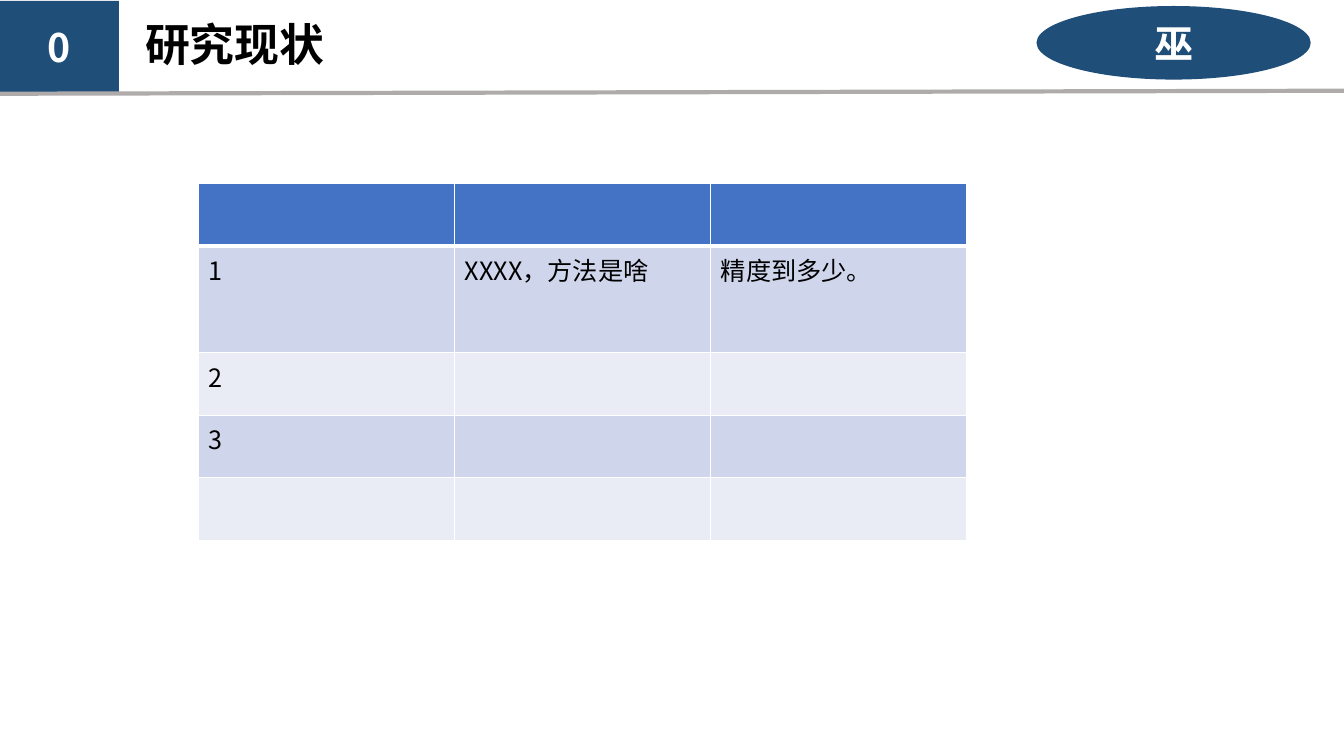
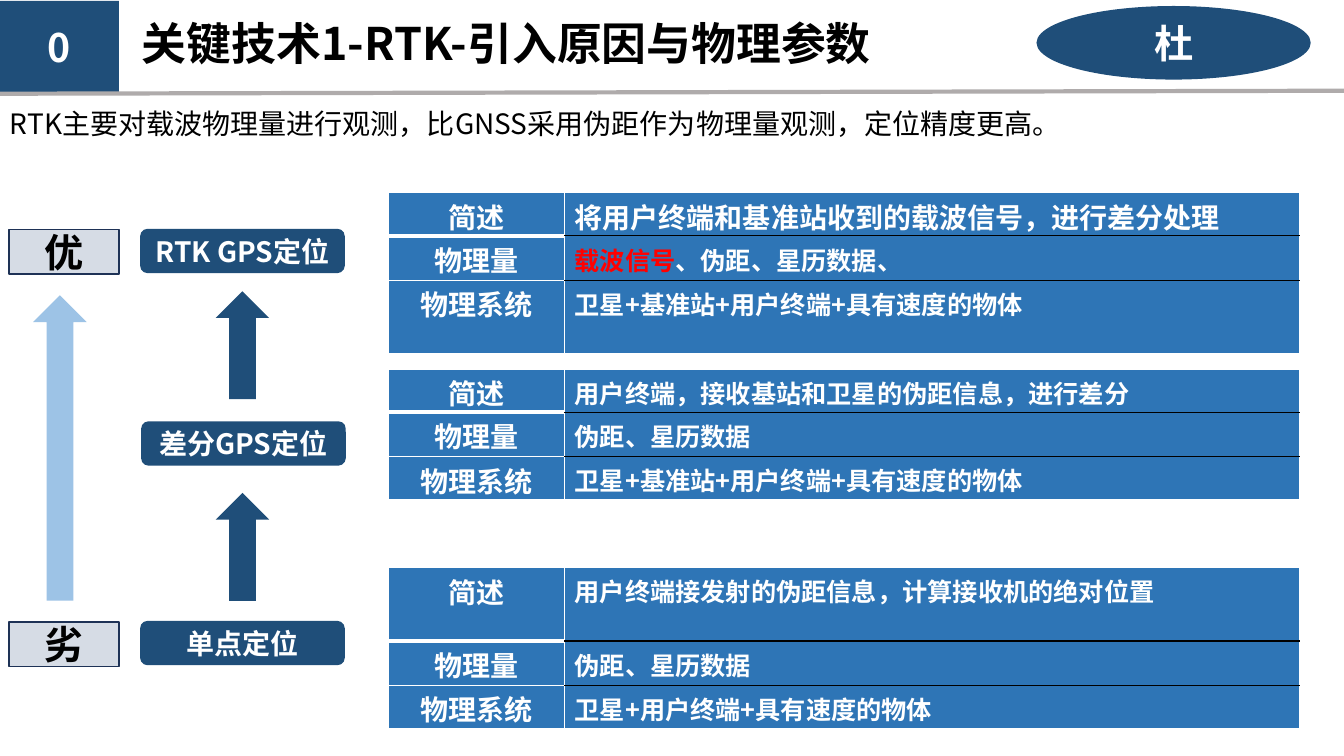
from lxml import etree
from pptx import Presentation
from pptx.dml.color import RGBColor
from pptx.enum.shapes import MSO_CONNECTOR, MSO_SHAPE
from pptx.enum.text import MSO_ANCHOR, PP_ALIGN
from pptx.oxml.ns import qn
from pptx.util import Emu, Pt

RECT = MSO_SHAPE.RECTANGLE
ROUNDED = MSO_SHAPE.ROUNDED_RECTANGLE
ELLIPSE = MSO_SHAPE.OVAL
UP_ARROW = MSO_SHAPE.UP_ARROW
STRAIGHT = MSO_CONNECTOR.STRAIGHT
MIDDLE = MSO_ANCHOR.MIDDLE
LEFT, CENTER = PP_ALIGN.LEFT, PP_ALIGN.CENTER

EMU_PER_PX = 9144
FONT = "Noto Sans CJK SC"
COLORS = {
    "white": "FFFFFF", "black": "000000", "red": "FF0000",
    "navy": "1F4E79", "rule": "AFABAB", "sky": "9DC3E6",
    "label": "D6DCE5", "label_line": "1E3256", "method": "2E75B6",
    "head": "4472C4", "band": "CFD5EA", "pale": "E9EBF5",
}


def px(length):
    return Emu(length * EMU_PER_PX)


def place(box):
    return [px(length) for length in box]


def rgb(name):
    return RGBColor.from_string(COLORS[name])


def write(para, text, size, color="black", bold=False):
    """Add one run, with the font set for Latin and Chinese text."""
    span = para.add_run()
    span.text = text
    span.font.size = Pt(size)
    span.font.bold = bold
    span.font.color.rgb = rgb(color)
    span.font.name = FONT
    etree.SubElement(span.font._element, qn("a:ea"), typeface=FONT)


def add_text(page, box, text, size, bold=False):
    frame = page.shapes.add_textbox(*place(box)).text_frame
    frame.word_wrap = True
    frame.vertical_anchor = MIDDLE
    frame.margin_top = frame.margin_bottom = 0
    para = frame.paragraphs[0]
    para.line_spacing = 0.9
    write(para, text, size, bold=bold)


def add_figure(page, kind, box, fill, text="", size=28, color="white", line=None, wrap=True):
    shape = page.shapes.add_shape(kind, *place(box))
    shape.shadow.inherit = False
    shape.fill.solid()
    shape.fill.fore_color.rgb = rgb(fill)
    if line:
        shape.line.color.rgb = rgb(line)
        shape.line.width = Pt(1)
    else:
        shape.line.fill.background()
    if text:
        frame = shape.text_frame
        frame.word_wrap = wrap
        frame.vertical_anchor = MIDDLE
        para = frame.paragraphs[0]
        para.alignment = CENTER
        write(para, text, size, color, bold=True)


def set_borders(cell, top, bottom):
    """Draw white sides, and the given (colour, points) above and below."""
    side = ("white", 1)
    edges = {"a:lnL": side, "a:lnR": side, "a:lnT": top, "a:lnB": bottom}
    props = cell._tc.get_or_add_tcPr()
    for index, (tag, (color, points)) in enumerate(edges.items()):
        edge = etree.Element(qn(tag), w=str(Pt(points)))
        fill = etree.SubElement(edge, qn("a:solidFill"))
        etree.SubElement(fill, qn("a:srgbClr"), val=COLORS[color])
        props.insert(index, edge)


def add_grid(page, left, top, widths, heights, rows, fills, aligns, rules, bold=False):
    """Build a table; rows hold cells as lists of (text, size, colour) spans,
    and rules give each column's (colour, points) below the first and later rows."""
    box = (left, top, sum(widths), sum(heights))
    table = page.shapes.add_table(len(rows), len(widths), *place(box)).table
    for column, width in zip(table.columns, widths):
        column.width = px(width)
    for r, (spans_in_row, height) in enumerate(zip(rows, heights)):
        table.rows[r].height = px(height)
        for c, spans in enumerate(spans_in_row):
            cell = table.cell(r, c)
            cell.fill.solid()
            cell.fill.fore_color.rgb = rgb(fills[r])
            largest = max((size for _, size, _ in spans), default=18)
            cell.margin_top = px(3 if largest > 18 else 5)
            cell.margin_bottom = 0
            para = cell.text_frame.paragraphs[0]
            para.alignment = aligns[c]
            for text, size, color in spans:
                write(para, text, size, color, bold)
            first, later = rules[c]
            edges = [("white", 1), first] + [later] * (len(rows) - 2) + [("white", 1)]
            set_borders(cell, edges[r], edges[r + 1])


def add_header(page, title, title_box, speaker):
    add_figure(page, RECT, (0, 1, 118, 91), "navy", "0")
    rule = page.shapes.add_connector(STRAIGHT, *place((-2, 93, 1336, 90)))
    rule.line.color.rgb = rgb("rule")
    rule.line.width = Pt(3)
    etree.SubElement(rule._element.spPr, qn("a:effectLst"))
    add_text(page, title_box, title, 32, bold=True)
    add_figure(page, ELLIPSE, (1028, 6, 272, 73), "navy", speaker)


def add_status_table(page, left, top):
    texts = [
        ["", "", ""],
        ["1", "XXXX，方法是啥", "精度到多少。"],
        ["2", "", ""],
        ["3", "", ""],
        ["", "", ""],
    ]
    rows = [[[(text, 18, "black")] if text else [] for text in row] for row in texts]
    add_grid(page, left, top, [254] * 3, [62, 106, 62, 62, 62], rows,
             ["head", "band", "pale", "band", "pale"], [LEFT] * 3,
             [(("white", 3), ("white", 1))] * 3)


def add_method_table(page, left, top, heights, details):
    names = ["简述", "物理量", "物理系统"]
    rows = [[[(name, 20, "white")], spans] for name, spans in zip(names, details)]
    add_grid(page, left, top, [175, 729], heights, rows, ["method"] * 3, [CENTER, LEFT],
             [(("white", 3), ("white", 1)), (("black", 1), ("black", 1))], bold=True)


def add_ranking(page, left, top):
    """Draw the quality scale and the ladder of positioning methods."""
    for text, y in [("优", 1), ("劣", 390)]:
        add_figure(page, RECT, (left, top + y, 109, 44), "label", text,
                   color="black", line="label_line")
    add_figure(page, UP_ARROW, (left + 24, top + 66, 53, 303), "sky")
    for text, x, y in [("RTK GPS定位", 130, 0), ("差分GPS定位", 131, 191), ("单点定位", 130, 389)]:
        add_figure(page, ROUNDED, (left + x, top + y, 203, 44), "navy", text, 20, wrap=False)
    for y in (62, 262):
        add_figure(page, UP_ARROW, (left + 205, top + y, 53, 107), "navy")


def build_status(page):
    add_header(page, "研究现状", (134, 15, 818, 64), "巫")
    add_status_table(page, 197, 182)


def build_rtk(page):
    add_header(page, "关键技术1-RTK-引入原因与物理参数", (131, 14, 938, 64), "杜")
    add_text(page, (0, 102, 1183, 44),
             "RTK主要对载波物理量进行观测，比GNSS采用伪距作为物理量观测，定位精度更高。", 20)
    add_ranking(page, 9, 227)
    ranges = [("伪距、星历数据", 18, "white")]
    with_station = [("卫星+基准站+用户终端+具有速度的物体", 18, "white")]
    methods = [
        (191, [43, 44, 73], [
            [("将用户终端和基准站收到的载波信号，进行差分处理", 20, "white")],
            [("载波信号", 18, "red"), ("、伪距、星历数据、", 18, "white")],
            with_station]),
        (366, [43, 44, 43], [
            [("用户终端，接收基站和卫星的伪距信息，进行差分", 18, "white")],
            ranges, with_station]),
        (563, [73, 44, 43], [
            [("用户终端接发射的伪距信息，计算接收机的绝对位置", 18, "white")],
            ranges, [("卫星+用户终端+具有速度的物体", 18, "white")]]),
    ]
    for top, heights, details in methods:
        add_method_table(page, 385, top, heights, details)


def main():
    deck = Presentation()
    deck.slide_width, deck.slide_height = px(1333), px(750)
    blank = deck.slide_layouts[6]
    for build in (build_status, build_rtk):
        build(deck.slides.add_slide(blank))
    deck.save("out.pptx")


if __name__ == "__main__":
    main()
